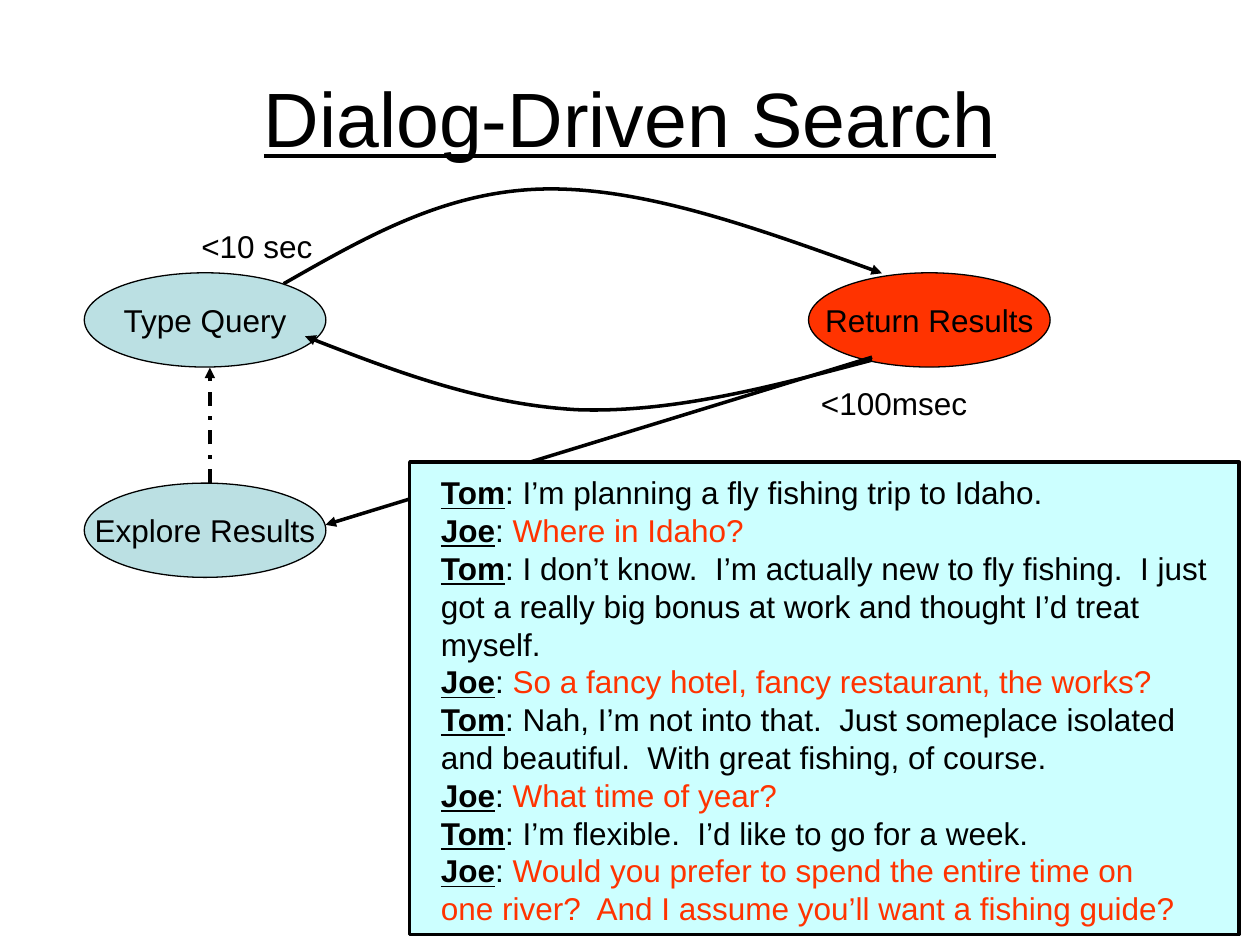
"""Build the Dialog-Driven Search slide: a search loop and a sample dialogue."""
from lxml import etree
from pptx import Presentation
from pptx.dml.color import RGBColor
from pptx.enum.dml import MSO_LINE
from pptx.enum.shapes import MSO_CONNECTOR, MSO_SHAPE
from pptx.enum.text import MSO_ANCHOR, MSO_AUTO_SIZE, PP_ALIGN
from pptx.oxml.ns import qn
from pptx.util import Cm, Pt

OVAL, BOX = MSO_SHAPE.OVAL, MSO_SHAPE.RECTANGLE
STRAIGHT, DASH_DOT = MSO_CONNECTOR.STRAIGHT, MSO_LINE.DASH_DOT
CENTER, MIDDLE = PP_ALIGN.CENTER, MSO_ANCHOR.MIDDLE
FIT_TEXT = MSO_AUTO_SIZE.SHAPE_TO_FIT_TEXT

COLORS = {"ink": "000000", "step": "BBE0E3", "accent": "FF3300", "panel": "CCFFFF"}
INK, STEP, ACCENT, PANEL = (RGBColor.from_string(value) for value in COLORS.values())
BODY = {"name": "Arial", "size": Pt(18), "bold": False, "underline": False}
SPEAKER = BODY | {"bold": True, "underline": True}
HEADING = BODY | {"size": Pt(44), "underline": True}


def add_span(para, text, style=BODY, color=INK):
    """Append a formatted run to a paragraph."""
    span = para.add_run()
    span.text = text
    for name, value in style.items():
        setattr(span.font, name, value)
    span.font.color.rgb = color


def style_arrow(arrow):
    """Give an open path a black line, an arrowhead and no shadow."""
    arrow.line.color.rgb = INK
    arrow.line.width = Pt(2)
    outline = arrow.line._get_or_add_ln()
    etree.SubElement(outline, qn("a:tailEnd"), type="triangle")
    properties = arrow._element.spPr
    if properties.find(qn("a:effectLst")) is None:
        etree.SubElement(properties, qn("a:effectLst"))


deck = Presentation()
deck.slide_width, deck.slide_height = Cm(25.4), Cm(19.05)
page = deck.slides.add_slide(deck.slide_layouts[5])

title = page.shapes.title
title.left, title.top, title.width, title.height = Cm(1.27), Cm(0.76), Cm(22.86), Cm(3.18)
title.text_frame.vertical_anchor = MIDDLE
title_para = title.text_frame.paragraphs[0]
title_para.alignment = CENTER
add_span(title_para, "Dialog-Driven Search", HEADING)

steps = [
    ("Type Query", 1.7, 5.5, STEP),
    ("Return Results", 16.3, 5.5, ACCENT),
    ("Explore Results", 1.7, 9.74, STEP),
]
for label, left, top, fill in steps:
    step = page.shapes.add_shape(OVAL, Cm(left), Cm(top), Cm(4.87), Cm(1.9))
    step.shadow.inherit = False
    step.fill.solid()
    step.fill.fore_color.rgb = fill
    step.line.color.rgb = INK
    step.line.width = Pt(0.75)
    step.text_frame.word_wrap = False
    step.text_frame.vertical_anchor = MIDDLE
    para = step.text_frame.paragraphs[0]
    para.alignment = CENTER
    add_span(para, label)

curves = [
    [(5.72, 5.72), (7.37, 4.78), (8.99, 3.84), (11, 3.81),
     (13, 3.78), (15.39, 4.65), (17.78, 5.51)],
    [(17.58, 7.26), (15.54, 7.8), (13.54, 8.33), (11.63, 8.26),
     (9.73, 8.15), (7.92, 7.47), (6.15, 6.78)],
]
for curve in curves:
    start, *controls = [(Cm(x), Cm(y)) for x, y in curve]
    builder = page.shapes.build_freeform(*start)
    builder.add_line_segments(controls, close=False)
    arc = builder.convert_to_shape()
    arc.shadow.inherit = False
    arc.fill.background()
    style_arrow(arc)
    outline_path = next(arc._element.iter(qn("a:path")))
    segments = outline_path.findall(qn("a:lnTo"))
    for first in range(0, len(segments), 3):
        bezier = etree.SubElement(outline_path, qn("a:cubicBezTo"))
        for segment in segments[first:first + 3]:
            bezier.append(segment[0])
            outline_path.remove(segment)

timings = [("<100msec", 16.3, 7.62, 3.5), ("<10 sec", 3.81, 4.45, 2.9)]
for label, left, top, width in timings:
    timing = page.shapes.add_textbox(Cm(left), Cm(top), Cm(width), Cm(1.02))
    timing.text_frame.word_wrap = True
    timing.text_frame.auto_size = FIT_TEXT
    add_span(timing.text_frame.paragraphs[0], label)

arrows = [((17.58, 7.2), (6.56, 10.58), None), ((4.23, 9.74), (4.23, 7.41), DASH_DOT)]
for start, end, dash in arrows:
    arrow = page.shapes.add_connector(STRAIGHT, *map(Cm, start + end))
    if dash:
        arrow.line.dash_style = dash
    style_arrow(arrow)

panel = page.shapes.add_shape(BOX, Cm(8.26), Cm(9.31), Cm(16.72), Cm(9.53))
panel.shadow.inherit = False
panel.fill.solid()
panel.fill.fore_color.rgb = PANEL
panel.line.color.rgb = INK
panel.line.width = Pt(2)

dialogue = [
    ("Tom", ["I’m planning a fly fishing trip to Idaho."]),
    ("Joe", ["Where in Idaho?"]),
    ("Tom", ["I don’t know.  I’m actually new to fly fishing.  I just",
             "got a really big bonus at work and thought I’d treat",
             "myself."]),
    ("Joe", ["So a fancy hotel, fancy restaurant, the works?"]),
    ("Tom", ["Nah, I’m not into that.  Just someplace isolated",
             "and beautiful.  With great fishing, of course."]),
    ("Joe", ["What time of year?"]),
    ("Tom", ["I’m flexible.  I’d like to go for a week."]),
    ("Joe", ["Would you prefer to spend the entire time on",
             "one river?  And I assume you’ll want a fishing guide?"]),
]
speech_colors = {"Tom": INK, "Joe": ACCENT}
transcript = page.shapes.add_textbox(Cm(8.64), Cm(9.42), Cm(16.03), Cm(9.4)).text_frame
transcript.word_wrap = False
transcript.auto_size = FIT_TEXT
para = transcript.paragraphs[0]
for speaker, lines in dialogue:
    for number, line in enumerate(lines):
        if para.runs:
            para = transcript.add_paragraph()
        if number == 0:
            add_span(para, speaker, SPEAKER)
            add_span(para, ": ")
        add_span(para, line, color=speech_colors[speaker])

deck.save("out.pptx")
